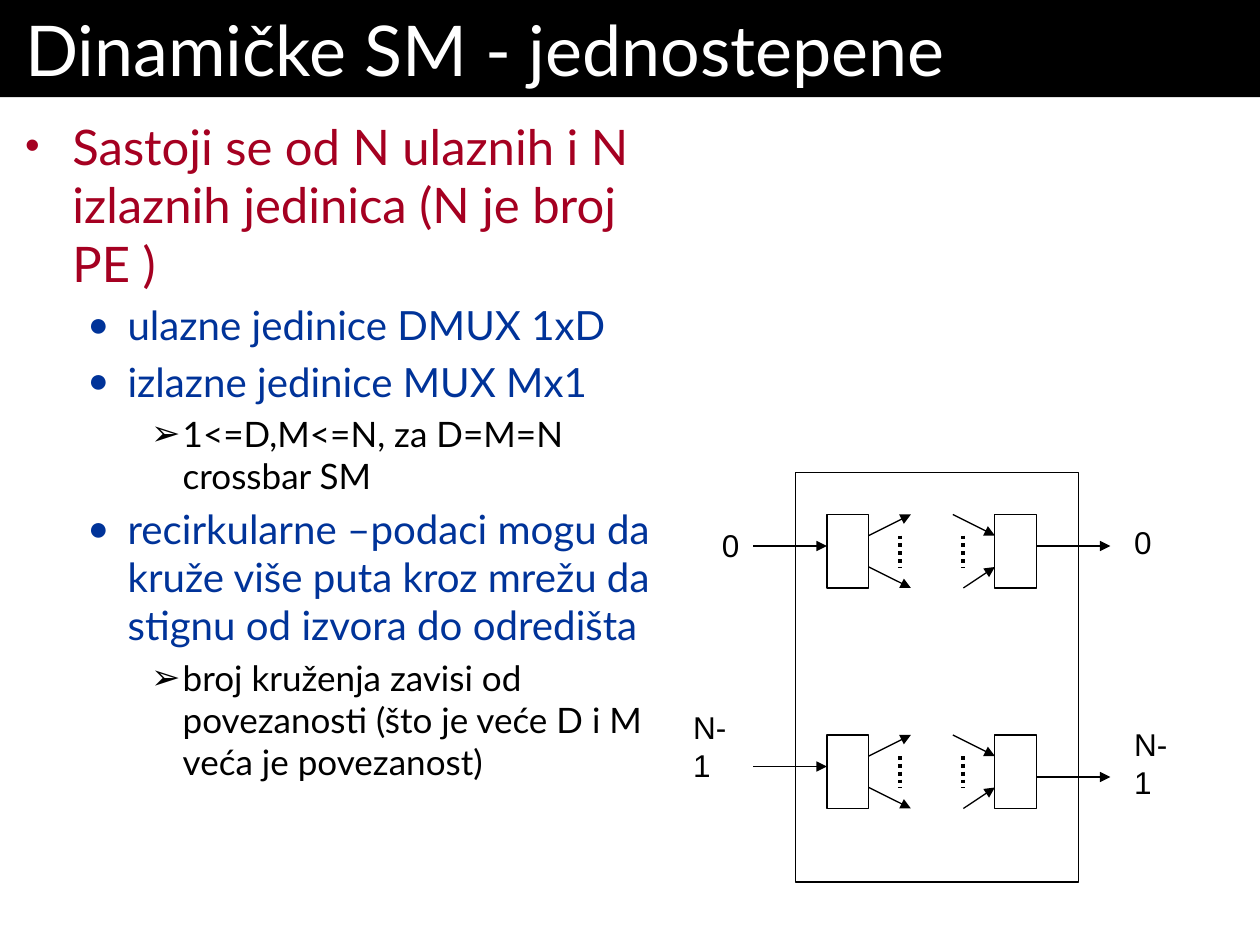
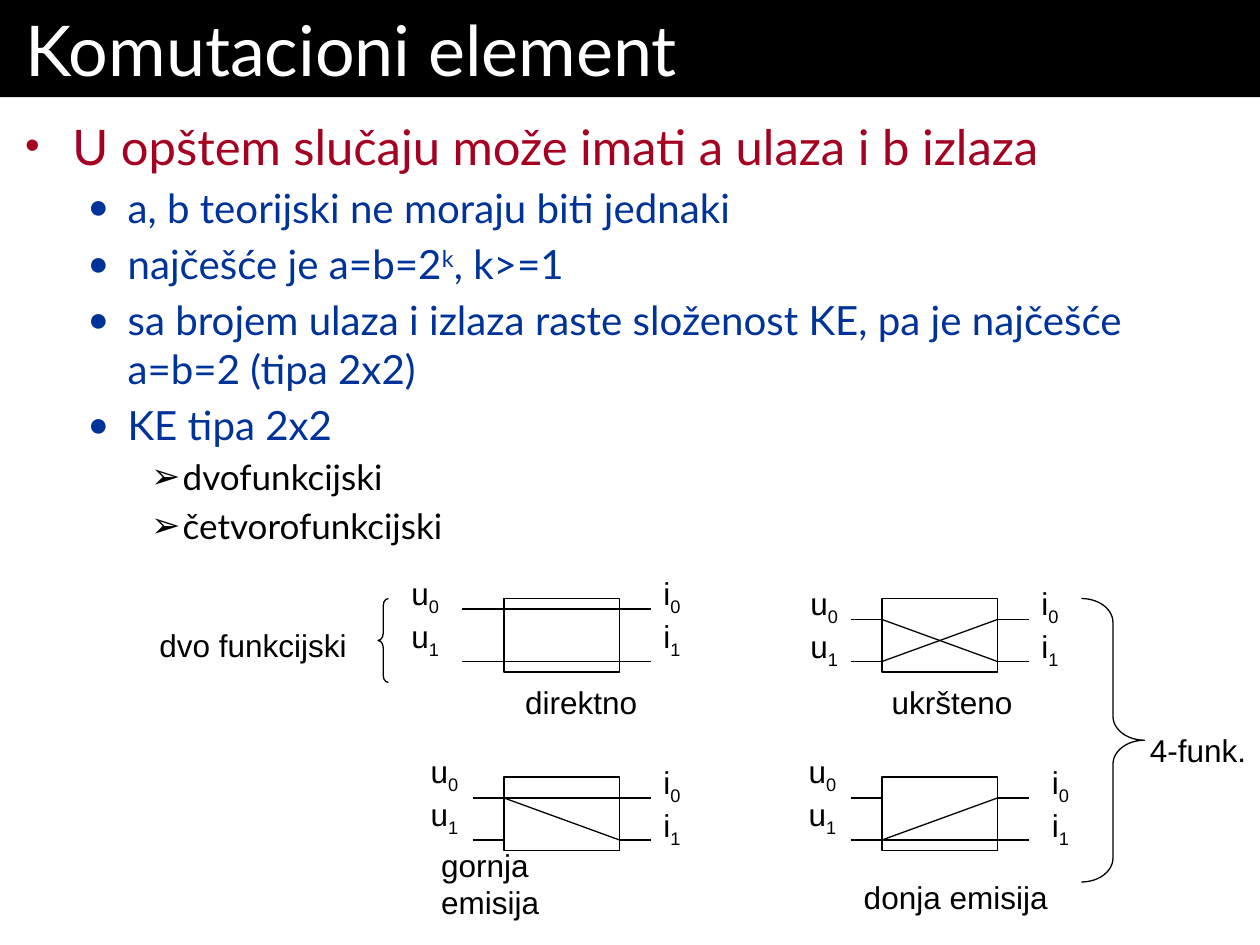
from dataclasses import dataclass
from typing import Any, Optional, Union

from lxml.etree import SubElement
from pptx import Presentation
from pptx.dml.color import RGBColor
from pptx.dml.fill import FillFormat
from pptx.enum.dml import MSO_LINE
from pptx.enum.shapes import MSO_CONNECTOR, MSO_SHAPE
from pptx.enum.text import MSO_ANCHOR, MSO_AUTO_SIZE, PP_ALIGN
from pptx.oxml.ns import qn
from pptx.shapes.shapetree import GroupShapes, SlideShapes
from pptx.slide import Slide
from pptx.text.text import _Paragraph
from pptx.util import Pt

# Shared look
BLACK, WHITE, RED, BLUE = "000000", "FFFFFF", "A50021", "003399"
HEADING_FONT, LABEL_FONT = "Lato", "Arial"
SLIDE_WIDTH, SLIDE_HEIGHT, BAND_HEIGHT = 720, 540, 55.5
THIN = 0.75
LABEL_HEIGHT, PORT_LABEL_HEIGHT = 29, 50.5
SUPERSCRIPT, SUBSCRIPT = 30000, -25000

Shapes = Union[SlideShapes, GroupShapes]
Pieces = tuple[str, ...]  # every second piece is raised or lowered


@dataclass(frozen=True)
class ListLevel:
    bullet: str
    color: str
    size: float
    margin: float
    hanging: float
    bullet_percent: int


@dataclass(frozen=True)
class Label:
    text: str
    left: float
    top: float
    width: float


@dataclass(frozen=True)
class Stage:
    """One input unit and one output unit on the same row."""
    top: float
    output_drop: float
    input_label: Label
    output_label: Label


@dataclass(frozen=True)
class SwitchState:
    left: float
    top: float
    ports: tuple[float, float]
    links: tuple[tuple[int, int], ...]
    lead: float
    input_at: tuple[float, float]
    output_at: tuple[float, float]
    caption: Label
    straight: bool = False


LEVELS = (
    ListLevel("•", RED, 28, 27, 27, 85),
    ListLevel("●", BLUE, 23, 58.5, 22.5, 85),
    ListLevel("➢", BLACK, 20, 90, 18, 100),
)


# Helpers
def set_values(target: Any, values: dict[str, Any]) -> None:
    for name, value in values.items():
        setattr(target, name, value)


def paint(fill: FillFormat, color: str) -> None:
    fill.solid()
    fill.fore_color.rgb = RGBColor.from_string(color)


def write(paragraph: _Paragraph, pieces: Pieces, font: str, size: float,
          color: str, shift: int = 0) -> None:
    for index, piece in enumerate(pieces):
        run = paragraph.add_run()
        run.text = piece
        set_values(run.font, {"name": font, "size": Pt(size)})
        paint(run.font.fill, color)
        if index % 2:
            run.font._element.set("baseline", str(shift))


def place(shape: Any, left: float, top: float, width: float, height: float) -> None:
    set_values(shape, {"left": Pt(left), "top": Pt(top),
                       "width": Pt(width), "height": Pt(height)})


def inset(frame: Any, side: float, edge: float, anchor: MSO_ANCHOR) -> None:
    set_values(frame, {
        "margin_left": Pt(side), "margin_right": Pt(side),
        "margin_top": Pt(edge), "margin_bottom": Pt(edge),
        "vertical_anchor": anchor, "word_wrap": True,
        "auto_size": MSO_AUTO_SIZE.NONE,
    })


def set_bullet(paragraph: _Paragraph, level: ListLevel) -> None:
    properties = paragraph._p.get_or_add_pPr()
    properties.set("marL", str(Pt(level.margin)))
    properties.set("indent", str(-Pt(level.hanging)))
    bullet_color = SubElement(properties, qn("a:buClr"))
    SubElement(bullet_color, qn("a:srgbClr"), val=level.color)
    SubElement(properties, qn("a:buSzPct"), val=str(level.bullet_percent * 1000))
    SubElement(properties, qn("a:buFont"), typeface=LABEL_FONT)
    SubElement(properties, qn("a:buChar"), char=level.bullet)


def add_outline(shapes: Shapes, left: float, top: float, width: float, height: float,
                kind: MSO_SHAPE = MSO_SHAPE.RECTANGLE,
                curve: Optional[float] = None) -> None:
    outline = shapes.add_shape(kind, Pt(left), Pt(top), Pt(width), Pt(height))
    outline.shadow.inherit = False
    outline.fill.background()
    paint(outline.line.fill, BLACK)
    outline.line.width = Pt(THIN)
    if curve is not None:
        outline.adjustments[0] = curve


def add_line(shapes: Shapes, x1: float, y1: float, x2: float, y2: float,
             arrow: bool = False, dotted: bool = False) -> None:
    line = shapes.add_connector(MSO_CONNECTOR.STRAIGHT, Pt(x1), Pt(y1), Pt(x2), Pt(y2))
    paint(line.line.fill, BLACK)
    line.line.width = Pt(2.25 if dotted else THIN)
    if dotted:
        line.line.dash_style = MSO_LINE.ROUND_DOT
    if arrow:
        SubElement(line.line._get_or_add_ln(), qn("a:tailEnd"), type="triangle")
    SubElement(line._element.spPr, qn("a:effectLst"))


def add_text(shapes: Shapes, rows: tuple[Pieces, ...], left: float, top: float,
             width: float, height: float) -> None:
    box = shapes.add_textbox(Pt(left), Pt(top), Pt(width), Pt(height))
    frame = box.text_frame
    set_values(frame, {"word_wrap": False, "vertical_anchor": MSO_ANCHOR.BOTTOM,
                       "auto_size": MSO_AUTO_SIZE.SHAPE_TO_FIT_TEXT})
    for index, pieces in enumerate(rows):
        paragraph = frame.add_paragraph() if index else frame.paragraphs[0]
        write(paragraph, pieces, LABEL_FONT, 18, BLACK, SUBSCRIPT)


def add_label(shapes: Shapes, label: Label) -> None:
    add_text(shapes, ((label.text,),), label.left, label.top, label.width, LABEL_HEIGHT)


def add_topic(deck: Any, heading: str, points: tuple[tuple[int, Pieces], ...],
              list_width: float) -> Slide:
    """Slide with the black title band and the bulleted list."""
    slide = deck.slides.add_slide(deck.slide_layouts[1])
    band, body = slide.placeholders

    place(band, 0, 0, SLIDE_WIDTH, BAND_HEIGHT)
    paint(band.fill, BLACK)
    inset(band.text_frame, 14.4, 3.6, MSO_ANCHOR.MIDDLE)
    title = band.text_frame.paragraphs[0]
    title.alignment = PP_ALIGN.LEFT
    write(title, (heading,), HEADING_FONT, 40, WHITE)

    place(body, 0, BAND_HEIGHT, list_width, SLIDE_HEIGHT - BAND_HEIGHT)
    inset(body.text_frame, 14.4, 10.8, MSO_ANCHOR.TOP)
    for index, (depth, pieces) in enumerate(points):
        frame = body.text_frame
        paragraph = frame.add_paragraph() if index else frame.paragraphs[0]
        paragraph.level = depth
        level = LEVELS[depth]
        set_bullet(paragraph, level)
        write(paragraph, pieces, HEADING_FONT, level.size, level.color, SUPERSCRIPT)
    return slide


# Slide 1: single-stage network
NETWORK_POINTS = (
    (0, ("Sastoji se od N ulaznih i N izlaznih jedinica (N je broj PE )",)),
    (1, ("ulazne jedinice DMUX 1xD",)),
    (1, ("izlazne jedinice MUX Mx1",)),
    (2, ("1<=D,M<=N, za D=M=N crossbar SM",)),
    (1, ("recirkularne –podaci mogu da kruže više puta kroz mrežu "
         "da stignu od izvora do odredišta",)),
    (2, ("broj kruženja zavisi od povezanosti (što je veće D i M veća je povezanost)",)),
)
STAGES = (
    Stage(294, 18, Label("0", 405.5, 296.5, 24.5), Label("0", 641, 295, 24.5)),
    Stage(420, 24, Label("N-1", 389, 422.5, 43), Label("N-1", 641, 432, 43)),
)
UNIT_WIDTH, UNIT_HEIGHT, WIRE = 24, 42, 42
DMUX_LEFT, MUX_LEFT = 472.5, 568.5
DMUX_RIGHT, MUX_RIGHT = DMUX_LEFT + UNIT_WIDTH, MUX_LEFT + UNIT_WIDTH
UPPER, LOWER = 12, 30  # branch heights on a unit
BRANCHES = (
    (DMUX_RIGHT, UPPER, DMUX_RIGHT + 24, 0),
    (DMUX_RIGHT, LOWER, DMUX_RIGHT + 24, UNIT_HEIGHT),
    (MUX_LEFT - 24, 0, MUX_LEFT, UPPER),
    (MUX_LEFT - 18, UNIT_HEIGHT, MUX_LEFT, LOWER),
)


def add_stage(shapes: Shapes, stage: Stage) -> None:
    top = stage.top
    for left in (DMUX_LEFT, MUX_LEFT):
        add_outline(shapes, left, top, UNIT_WIDTH, UNIT_HEIGHT)
    for end, drop in ((DMUX_LEFT, 18), (MUX_RIGHT + WIRE, stage.output_drop)):
        add_line(shapes, end - WIRE, top + drop, end, top + drop, arrow=True)
    for x1, y1, x2, y2 in BRANCHES:
        add_line(shapes, x1, top + y1, x2, top + y2, arrow=True)
    for x in (DMUX_RIGHT + 18, MUX_LEFT - 18):
        add_line(shapes, x, top + UPPER, x, top + LOWER, dotted=True)
    for label in (stage.input_label, stage.output_label):
        add_label(shapes, label)


def build_network(deck: Any) -> None:
    slide = add_topic(deck, "Dinamičke SM - jednostepene", NETWORK_POINTS, 402)
    network = slide.shapes.add_group_shape().shapes
    add_outline(network, 454.5, 270, 162, 234)
    for stage in STAGES:
        add_stage(network, stage)


# Slide 2: switching element
SWITCH_POINTS = (
    (0, ("U opštem slučaju može imati a ulaza i b izlaza",)),
    (1, ("a, b teorijski ne moraju biti jednaki",)),
    (1, ("najčešće je a=b=2", "k", ", k>=1")),
    (1, ("sa brojem ulaza i izlaza raste složenost KE, pa je najčešće a=b=2 (tipa 2x2)",)),
    (1, ("KE tipa 2x2",)),
    (2, ("dvofunkcijski",)),
    (2, ("četvorofunkcijski",)),
)
SWITCH_WIDTH, SWITCH_HEIGHT, OUTPUT_LEAD = 66, 42, 18
SWITCH_STATES = (
    SwitchState(288, 342, (6, 36), ((0, 0), (1, 1)), 24, (228, 330), (372, 330),
                Label("direktno", 293, 386.5, 78.5), straight=True),
    SwitchState(504, 342, (12, 36), ((0, 1), (1, 0)), 18, (456, 336), (588, 336),
                Label("ukršteno", 502.5, 386.5, 83.5)),
    SwitchState(288, 444, (12, 36), ((0, 0), (0, 1)), 18, (239, 432), (372, 438),
                Label("gornja emisija", 245, 501, 125)),
    SwitchState(504, 444, (12, 36), ((1, 0), (1, 1)), 18, (455, 432), (594, 438),
                Label("donja emisija", 486.5, 498, 119.5)),
)
FUNCTION_LABELS = (Label("dvo funkcijski", 84, 354, 121.5), Label("4-funk.", 650, 414, 70))


def add_switch(shapes: Shapes, state: SwitchState) -> None:
    left, right = state.left, state.left + SWITCH_WIDTH
    heights = [state.top + port for port in state.ports]
    add_outline(shapes, left, state.top, SWITCH_WIDTH, SWITCH_HEIGHT)
    for y in heights:
        if state.straight:
            add_line(shapes, left - state.lead, y, right + OUTPUT_LEAD, y)
        else:
            add_line(shapes, left - state.lead, y, left, y)
            add_line(shapes, right, y, right + OUTPUT_LEAD, y)
    if not state.straight:
        for source, target in state.links:
            add_line(shapes, left, heights[source], right, heights[target])
    for letter, (x, y), width in (("u", state.input_at, 31), ("i", state.output_at, 25)):
        add_text(shapes, ((letter, "0"), (letter, "1")), x, y, width, PORT_LABEL_HEIGHT)
    add_label(shapes, state.caption)


def build_switch(deck: Any) -> None:
    shapes = add_topic(deck, "Komutacioni element", SWITCH_POINTS, SLIDE_WIDTH).shapes
    for state in SWITCH_STATES:
        add_switch(shapes, state)
    add_outline(shapes, 216, 342, 6, 48, MSO_SHAPE.LEFT_BRACE, 0.67)
    add_outline(shapes, 618, 342, 36, 162, MSO_SHAPE.RIGHT_BRACE, 0.38)
    for label in FUNCTION_LABELS:
        add_label(shapes, label)


def main() -> None:
    deck = Presentation()
    set_values(deck, {"slide_width": Pt(SLIDE_WIDTH), "slide_height": Pt(SLIDE_HEIGHT)})
    build_network(deck)
    build_switch(deck)
    deck.save("out.pptx")


if __name__ == "__main__":
    main()
